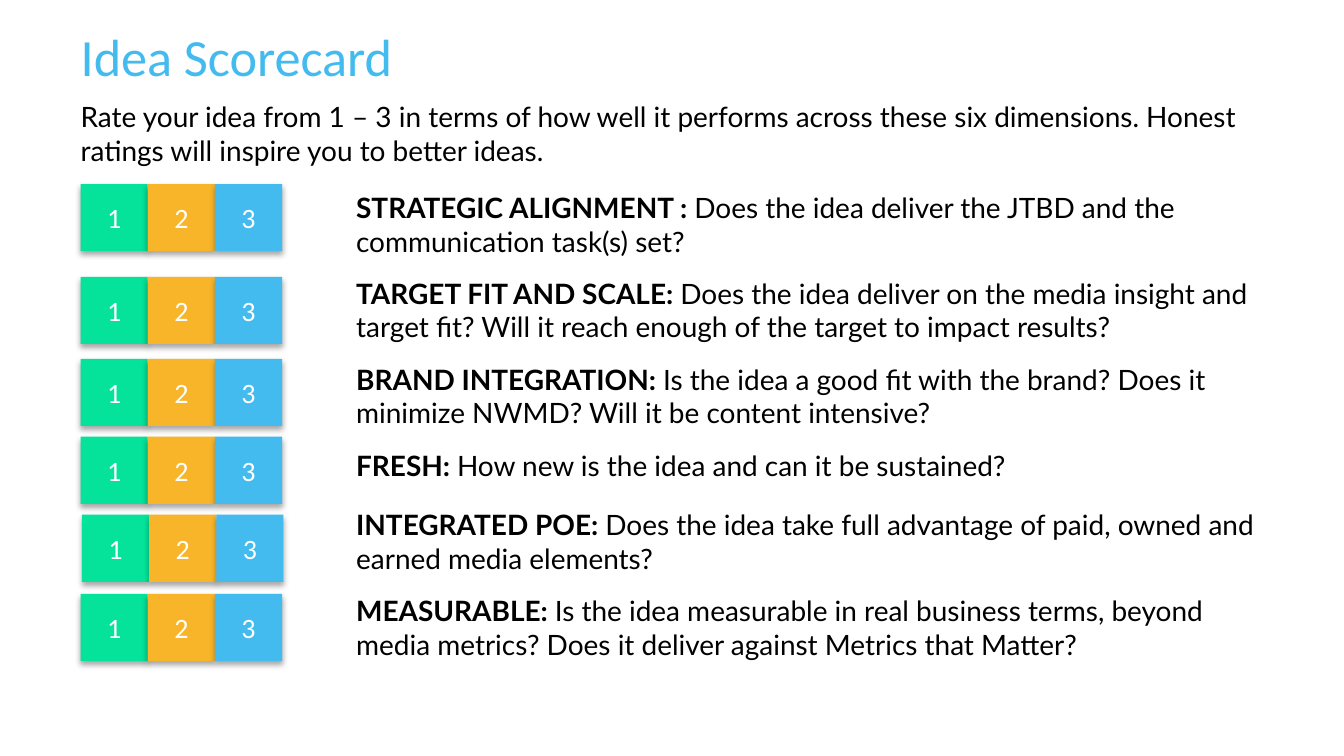
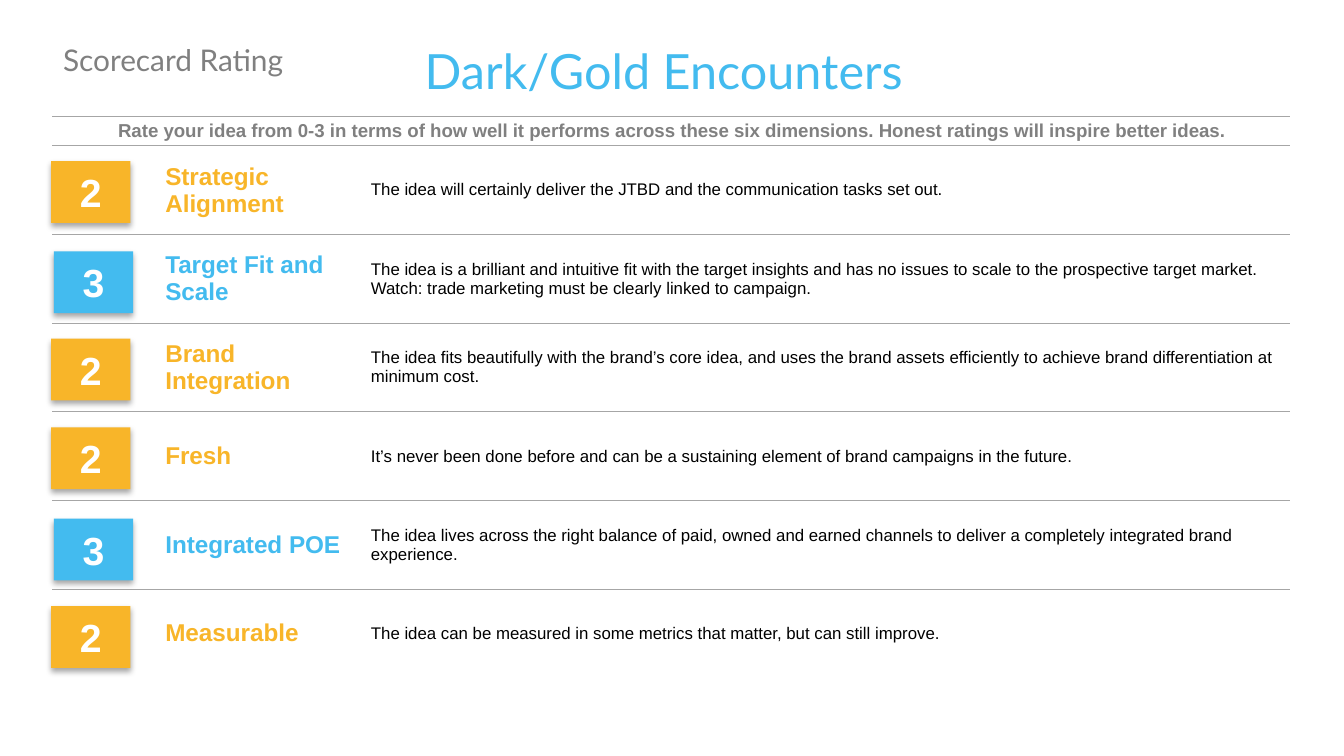
from dataclasses import dataclass
from typing import Any

from lxml.etree import SubElement, fromstring
from pptx import Presentation
from pptx.dml.color import RGBColor
from pptx.enum.shapes import MSO_SHAPE as Preset
from pptx.enum.text import MSO_ANCHOR as Anchor, MSO_AUTO_SIZE as AutoSize, PP_ALIGN as Align
from pptx.oxml.ns import nsdecls, qn
from pptx.util import Inches, Pt

GREEN, AMBER, BLUE = "04E399", "F8B529", "43BBEF"
BLACK, WHITE, GREY, RULE = "000000", "FFFFFF", "808080", "A6A6A6"
SCORE_COLORS = {1: GREEN, 2: AMBER, 3: BLUE}
PLAIN_TABLE_STYLE = "{2D5ABB26-0587-4C30-8999-92F81FD0307C}"
ROW_HEIGHT = 0.66
TILE_SIDE = 0.5


@dataclass(frozen=True)
class Dimension:
    heading: str
    question: str
    tiles_left: float
    tiles_top: float
    row_height: float = 0.64


@dataclass(frozen=True)
class Rating:
    name: str
    score: int
    comment: str
    badge_top: float


DIMENSIONS = [
    Dimension("STRATEGIC ALIGNMENT : ",
              "Does the idea deliver the JTBD and the communication task(s) set?", 0.6, 1.37),
    Dimension("TARGET FIT AND SCALE: ",
              "Does the idea deliver on the media insight and target fit? "
              "Will it reach enough of the target to impact results?", 0.6, 2.06),
    Dimension("BRAND INTEGRATION: ",
              "Is the idea a good fit with the brand? Does it minimize NWMD? "
              "Will it be content intensive?", 0.6, 2.67),
    Dimension("FRESH: ", "How new is the idea and can it be sustained?", 0.6, 3.25, 0.44),
    Dimension("INTEGRATED POE: ",
              "Does the idea take full advantage of paid, owned and earned media elements?",
              0.61, 3.83),
    Dimension("MEASURABLE: ",
              "Is the idea measurable in real business terms, beyond media metrics? "
              "Does it deliver against Metrics that Matter?", 0.6, 4.42),
]

RATINGS = [
    Rating("Strategic Alignment", 2,
           "The idea will certainly deliver the JTBD and the communication tasks set out.", 1.2),
    Rating("Target Fit and Scale", 3,
           "The idea is a brilliant and intuitive fit with the target insights and has no issues "
           "to scale to the prospective target market. "
           "Watch: trade marketing must be clearly linked to campaign.", 1.87),
    Rating("Brand Integration", 2,
           "The idea fits beautifully with the brand’s core idea, and uses the brand assets "
           "efficiently to achieve brand differentiation at minimum cost.", 2.52),
    Rating("Fresh", 2,
           "It’s never been done before and can be a sustaining element of brand campaigns "
           "in the future.", 3.18),
    Rating("Integrated POE", 3,
           "The idea lives across the right balance of paid, owned and earned channels to deliver "
           "a completely integrated brand experience.", 3.86),
    Rating("Measurable", 2,
           "The idea can be measured in some metrics that matter, but can still improve.", 4.51),
]


def rgb(color: str) -> RGBColor:
    return RGBColor.from_string(color)


def write(frame: Any, text: str, *, size: float, color: str = BLACK, font: str = "Lato",
          bold: bool = False, align: Any = Align.LEFT, lead: str = "") -> Any:
    para = frame.paragraphs[0]
    para.alignment = align
    for content, strong in ((lead, True), (text, bold)):
        if content:
            span = para.add_run()
            span.text = content
            span.font.size = Pt(size)
            span.font.name = font
            span.font.bold = strong
            span.font.color.rgb = rgb(color)
    return para


def set_insets(target: Any, across: float, down: float) -> None:
    target.margin_left = target.margin_right = Inches(across)
    target.margin_top = target.margin_bottom = Inches(down)


def add_score(shapes: Any, score: int, left: float, top: float, width: float, height: float,
              *, across: float = 0.1, down: float = 0.05, **style: Any) -> None:
    box = shapes.add_shape(Preset.RECTANGLE, Inches(left), Inches(top),
                           Inches(width), Inches(height))
    box.fill.solid()
    box.fill.fore_color.rgb = rgb(SCORE_COLORS[score])
    box.line.fill.background()
    box._element.spPr.append(fromstring(
        f'<a:effectLst {nsdecls("a")}><a:outerShdw blurRad="40000" dist="23000" dir="5400000" '
        f'rotWithShape="0"><a:srgbClr val="{BLACK}"><a:alpha val="35000"/></a:srgbClr>'
        '</a:outerShdw></a:effectLst>'))
    frame = box.text_frame
    frame.word_wrap = True
    frame.vertical_anchor = Anchor.MIDDLE
    set_insets(frame, across, down)
    write(frame, str(score), color=WHITE, align=Align.CENTER, **style)


def add_plain_table(page: Any, left: float, top: float,
                    widths: list[float], heights: list[float]) -> Any:
    holder = page.shapes.add_table(len(heights), len(widths), Inches(left), Inches(top),
                                   Inches(sum(widths)), Inches(sum(heights)))
    table = holder.table
    table.first_row = table.horz_banding = False
    table._tbl.tblPr.find(qn("a:tableStyleId")).text = PLAIN_TABLE_STYLE
    for column, width in zip(table.columns, widths):
        column.width = Inches(width)
    for row, height in zip(table.rows, heights):
        row.height = Inches(height)
    for cell in table.iter_cells():
        cell.fill.background()
    return table


def add_rule(cell: Any, edge: str, position: int) -> None:
    properties = cell._tc.get_or_add_tcPr()
    line = SubElement(properties, qn(f"a:{edge}"), w=str(Pt(0.5)))
    fill = SubElement(line, qn("a:solidFill"))
    SubElement(fill, qn("a:srgbClr"), val=RULE)
    properties.insert(position, line)


def rule_rows(table: Any) -> None:
    last = len(table.rows) - 1
    for index, row in enumerate(table.rows):
        for cell in row.cells:
            if index > 0:
                add_rule(cell, "lnT", 0)
            if index < last:
                add_rule(cell, "lnB", 1 if index > 0 else 0)


def place_frame(box: Any, left: float, top: float, width: float, height: float) -> Any:
    box.left, box.top = Inches(left), Inches(top)
    box.width, box.height = Inches(width), Inches(height)
    frame = box.text_frame
    frame.word_wrap = True
    frame.auto_size = AutoSize.NONE
    frame.vertical_anchor = Anchor.TOP
    set_insets(frame, 0, 0)
    return frame


def build_scorecard(deck: Any) -> None:
    page = deck.slides.add_slide(deck.slide_layouts[5])
    title = place_frame(page.shapes.title, 0.6, 0.23, 8.92, 0.36)
    write(title, "Idea Scorecard", size=28, color=BLUE, font="Calibri").line_spacing = 0.9
    intro = place_frame(page.shapes.add_textbox(0, 0, 0, 0), 0.6, 0.74, 8.91, 0.44)
    write(intro, "Rate your idea from 1 – 3 in terms of how well it performs across these six "
          "dimensions. Honest ratings will inspire you to better ideas.", size=15)
    table = add_plain_table(page, 2.55, 1.37, [7], [item.row_height for item in DIMENSIONS])
    for index, item in enumerate(DIMENSIONS):
        write(table.cell(index, 0).text_frame, item.question, lead=item.heading, size=15)
        group = page.shapes.add_group_shape()
        for step, score in enumerate(SCORE_COLORS):
            add_score(group.shapes, score, item.tiles_left + step * TILE_SIDE, item.tiles_top,
                      TILE_SIDE, TILE_SIDE, size=15, font="Calibri")


def build_rating(deck: Any) -> None:
    page = deck.slides.add_slide(deck.slide_layouts[6])
    table = add_plain_table(page, 0.39, 0.28, [0.76, 1.53, 0.4, 6.52],
                            [0.59, 0.2] + [ROW_HEIGHT] * len(RATINGS))
    rule_rows(table)
    for cell in table.iter_cells():
        set_insets(cell, 0.08, 0.03)
    table.cell(0, 0).merge(table.cell(0, 2))
    table.cell(1, 0).merge(table.cell(1, 3))
    write(table.cell(0, 0).text_frame, "Scorecard Rating", size=16, color=GREY)
    write(table.cell(0, 3).text_frame, "Dark/Gold Encounters", size=26, color=BLUE)
    write(table.cell(1, 0).text_frame,
          "Rate your idea from 0-3 in terms of how well it performs across these six dimensions. "
          "Honest ratings will inspire better ideas.",
          size=10, color=GREY, font="Arial", bold=True, align=Align.CENTER)
    for index, rating in enumerate(RATINGS, start=2):
        name, comment = table.cell(index, 1), table.cell(index, 2)
        comment.merge(table.cell(index, 3))
        name.vertical_anchor = comment.vertical_anchor = Anchor.MIDDLE
        write(name.text_frame, rating.name, size=13, color=SCORE_COLORS[rating.score],
              font="Arial", bold=True)
        write(comment.text_frame, rating.comment, size=9, font="Arial")
        add_score(page.shapes, rating.score, 0.4 if rating.score == 3 else 0.38,
                  rating.badge_top, 0.59, 0.46, across=0.08, down=0.04,
                  size=21, font="Arial", bold=True)


def main() -> None:
    deck = Presentation()
    deck.slide_width = Inches(10)
    deck.slide_height = deck.slide_width * 9 // 16
    build_scorecard(deck)
    build_rating(deck)
    deck.save("out.pptx")


if __name__ == "__main__":
    main()
